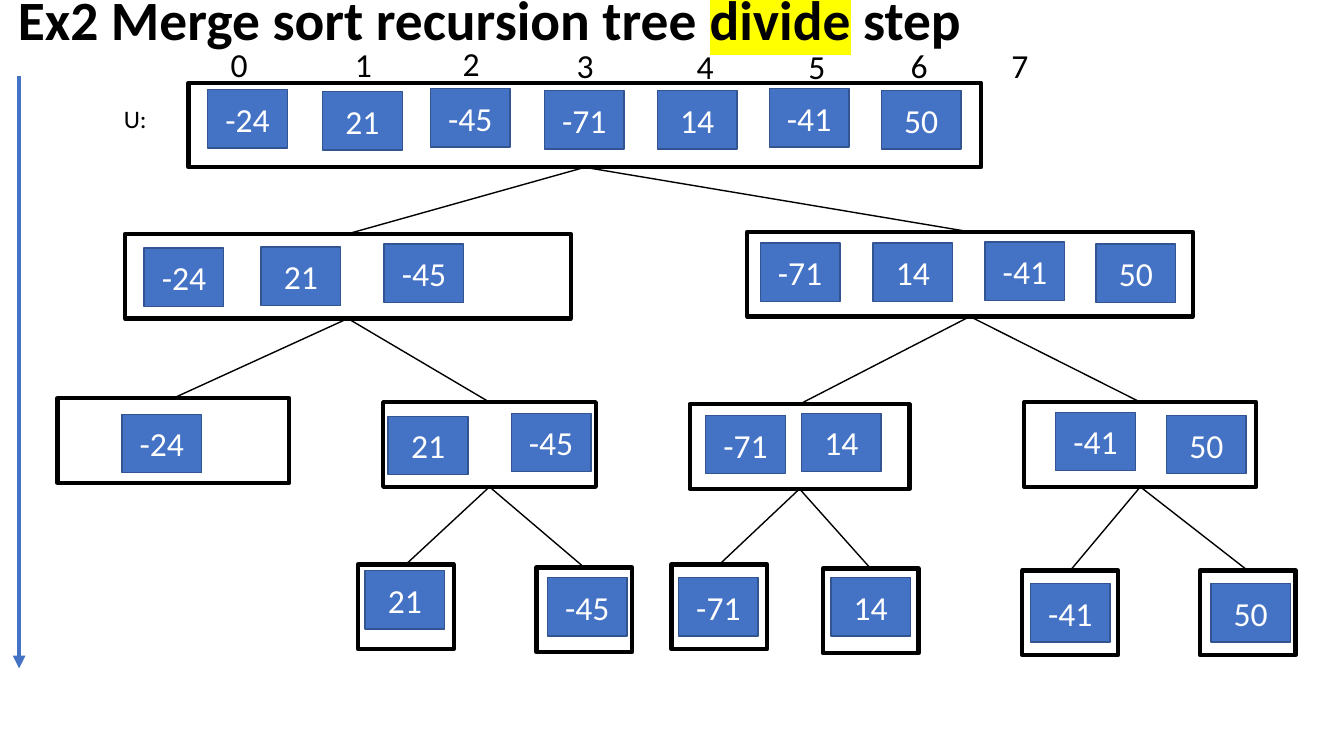
"""Build the slide showing the divide step of a merge sort recursion tree."""
from dataclasses import dataclass

import lxml.etree
import pptx
import pptx.dml.color
import pptx.enum.dml
import pptx.enum.shapes
import pptx.enum.text
import pptx.oxml.ns
import pptx.shapes.autoshape
import pptx.shapes.connector
import pptx.slide
import pptx.text.text
import pptx.util

COLORS = {
    "black": "000000",
    "white": "FFFFFF",
    "tile": "4472C4",
    "tile border": "325491",
    "highlight": "FFFF00",
}
FONT = "Calibri"
NODE_HEIGHT = 0.84
TILE_WIDTH, TILE_HEIGHT = 0.79, 0.58
BOTTOM, TOP = 2, 0


@dataclass(frozen=True)
class Tile:
    """One array value at its place."""
    value: int
    left: float
    top: float


@dataclass(frozen=True)
class Node:
    """A subarray frame with its tiles and the halves it divides into."""
    left: float
    top: float
    width: float
    tiles: tuple[Tile, ...]
    halves: tuple["Node", ...] = ()


@dataclass(frozen=True)
class Label:
    """A short text beside the root array."""
    text: str
    left: float
    top: float
    width: float
    height: float = 0.5
    size: float = 24


def leaf(left: float, top: float, tile: Tile) -> Node:
    """Make a frame holding a single value."""
    return Node(left, top, 0.95, (tile,))


LEFT_HALF = Node(
    1.24, 2.32, 4.42,
    (Tile(-24, 1.43, 2.46), Tile(21, 2.59, 2.45), Tile(-45, 3.81, 2.42)),
    (
        Node(0.57, 3.95, 2.3, (Tile(-24, 1.21, 4.11),)),
        Node(3.8, 3.99, 2.11, (Tile(21, 3.85, 4.13), Tile(-45, 5.07, 4.1)), (
            leaf(3.55, 5.6, Tile(21, 3.62, 5.66)),
            leaf(5.32, 5.63, Tile(-45, 5.43, 5.73)),
        )),
    ),
)
RIGHT_HALF = Node(
    7.41, 2.3, 4.42,
    (Tile(-71, 7.54, 2.41), Tile(14, 8.66, 2.41), Tile(-41, 9.77, 2.4), Tile(50, 10.87, 2.42)),
    (
        Node(6.84, 4.01, 2.18, (Tile(-71, 7, 4.12), Tile(14, 7.95, 4.1)), (
            leaf(6.66, 5.6, Tile(-71, 6.73, 5.73)),
            leaf(8.16, 5.64, Tile(14, 8.24, 5.73)),
        )),
        Node(10.16, 3.99, 2.3, (Tile(-41, 10.47, 4.09), Tile(50, 11.57, 4.12)), (
            leaf(10.14, 5.66, Tile(-41, 10.22, 5.79)),
            leaf(11.9, 5.66, Tile(50, 12.01, 5.79)),
        )),
    ),
)
ROOT = Node(
    1.87, 0.82, 7.86,
    (
        Tile(-24, 2.06, 0.89), Tile(21, 3.2, 0.91), Tile(-45, 4.27, 0.88), Tile(-71, 5.4, 0.9),
        Tile(14, 6.52, 0.9), Tile(-41, 7.63, 0.88), Tile(50, 8.74, 0.9),
    ),
    (LEFT_HALF, RIGHT_HALF),
)
LABELS = (
    Label("U:", 1.13, 0.98, 0.64, 0.4, 18),
    Label("0", 2.19, 0.39, 0.21),
    Label("1", 3.42, 0.39, 0.21),
    Label("2", 4.49, 0.38, 0.21),
    Label("3", 5.62, 0.4, 0.21),
    Label("4", 6.81, 0.41, 0.21),
    Label("5", 7.92, 0.41, 0.28),
    Label("6", 8.94, 0.4, 0.19),
    Label("7", 9.94, 0.4, 0.19),
)


def rgb(name: str) -> pptx.dml.color.RGBColor:
    """Look up a colour by name."""
    return pptx.dml.color.RGBColor.from_string(COLORS[name])


def add_run(
    paragraph: pptx.text.text._Paragraph, text: str, size: float,
    color: str = "black", bold: bool = False, highlighted: bool = False,
) -> None:
    """Append a formatted run to a paragraph."""
    run = paragraph.add_run()
    run.text = text
    run.font.size = pptx.util.Pt(size)
    run.font.bold = bold
    run.font.color.rgb = rgb(color)
    run.font.name = FONT
    if highlighted:
        highlight = lxml.etree.Element(pptx.oxml.ns.qn("a:highlight"))
        value = lxml.etree.SubElement(highlight, pptx.oxml.ns.qn("a:srgbClr"))
        value.set("val", COLORS["highlight"])
        run.font._element.find(pptx.oxml.ns.qn("a:solidFill")).addnext(highlight)


def add_text(slide: pptx.slide.Slide, label: Label) -> pptx.text.text.TextFrame:
    """Add an empty wrapping text box at the label's place."""
    box = slide.shapes.add_textbox(*map(
        pptx.util.Inches, (label.left, label.top, label.width, label.height)))
    box.text_frame.word_wrap = True
    return box.text_frame


def add_title(slide: pptx.slide.Slide) -> None:
    """Add the heading with its highlighted word."""
    frame = add_text(slide, Label("", 0.08, -0.02, 10.43, 0.48))
    frame.vertical_anchor = pptx.enum.text.MSO_ANCHOR.MIDDLE
    paragraph = frame.paragraphs[0]
    paragraph.line_spacing = 0.9
    for text in ("Ex2 Merge sort recursion tree ", "divide", " step"):
        add_run(paragraph, text, 39.6, bold=True, highlighted=text == "divide")


def add_rectangle(
    slide: pptx.slide.Slide, left: float, top: float, width: float, height: float,
    border: str, border_width: float,
) -> pptx.shapes.autoshape.Shape:
    """Add an unfilled rectangle with a border."""
    shape = slide.shapes.add_shape(
        pptx.enum.shapes.MSO_SHAPE.RECTANGLE,
        *map(pptx.util.Inches, (left, top, width, height)))
    shape.shadow.inherit = False
    shape.fill.background()
    shape.line.color.rgb = rgb(border)
    shape.line.width = pptx.util.Pt(border_width)
    return shape


def add_tile(slide: pptx.slide.Slide, tile: Tile) -> None:
    """Add a filled tile showing its value."""
    shape = add_rectangle(slide, tile.left, tile.top, TILE_WIDTH, TILE_HEIGHT, "tile border", 1)
    shape.fill.solid()
    shape.fill.fore_color.rgb = rgb("tile")
    shape.text_frame.vertical_anchor = pptx.enum.text.MSO_ANCHOR.MIDDLE
    paragraph = shape.text_frame.paragraphs[0]
    paragraph.alignment = pptx.enum.text.PP_ALIGN.CENTER
    add_run(paragraph, str(tile.value), 24, "white")


def add_line(
    slide: pptx.slide.Slide, ends: tuple[float, float, float, float], color: str, width: float,
) -> pptx.shapes.connector.Connector:
    """Add a straight connector without a shadow."""
    line = slide.shapes.add_connector(
        pptx.enum.shapes.MSO_CONNECTOR.STRAIGHT, *map(pptx.util.Inches, ends))
    line.line.color.rgb = rgb(color)
    line.line.width = pptx.util.Pt(width)
    lxml.etree.SubElement(line._element.spPr, pptx.oxml.ns.qn("a:effectLst"))
    return line


def add_node(slide: pptx.slide.Slide, node: Node) -> pptx.shapes.autoshape.Shape:
    """Draw a node, its tiles and, recursively, its joined halves."""
    frame = add_rectangle(slide, node.left, node.top, node.width, NODE_HEIGHT, "black", 3)
    for tile in node.tiles:
        add_tile(slide, tile)
    for half in node.halves:
        half_frame = add_node(slide, half)
        branch = add_line(slide, (0, 0, 0, 0), "black", 1)
        branch.begin_connect(frame, BOTTOM)
        branch.end_connect(half_frame, TOP)
    return frame


def main() -> None:
    """Build and save the presentation."""
    presentation = pptx.Presentation()
    presentation.slide_width = pptx.util.Inches(13.33)
    presentation.slide_height = pptx.util.Inches(7.5)
    slide = presentation.slides.add_slide(presentation.slide_layouts[6])
    add_title(slide)
    for label in LABELS:
        add_run(add_text(slide, label).paragraphs[0], label.text, label.size)
    add_node(slide, ROOT)
    arrow = add_line(slide, (0.19, 0.75, 0.19, 6.63), "tile", 3)
    head = lxml.etree.SubElement(arrow.line._get_or_add_ln(), pptx.oxml.ns.qn("a:tailEnd"))
    head.set("type", "triangle")
    presentation.save("out.pptx")


if __name__ == "__main__":
    main()
